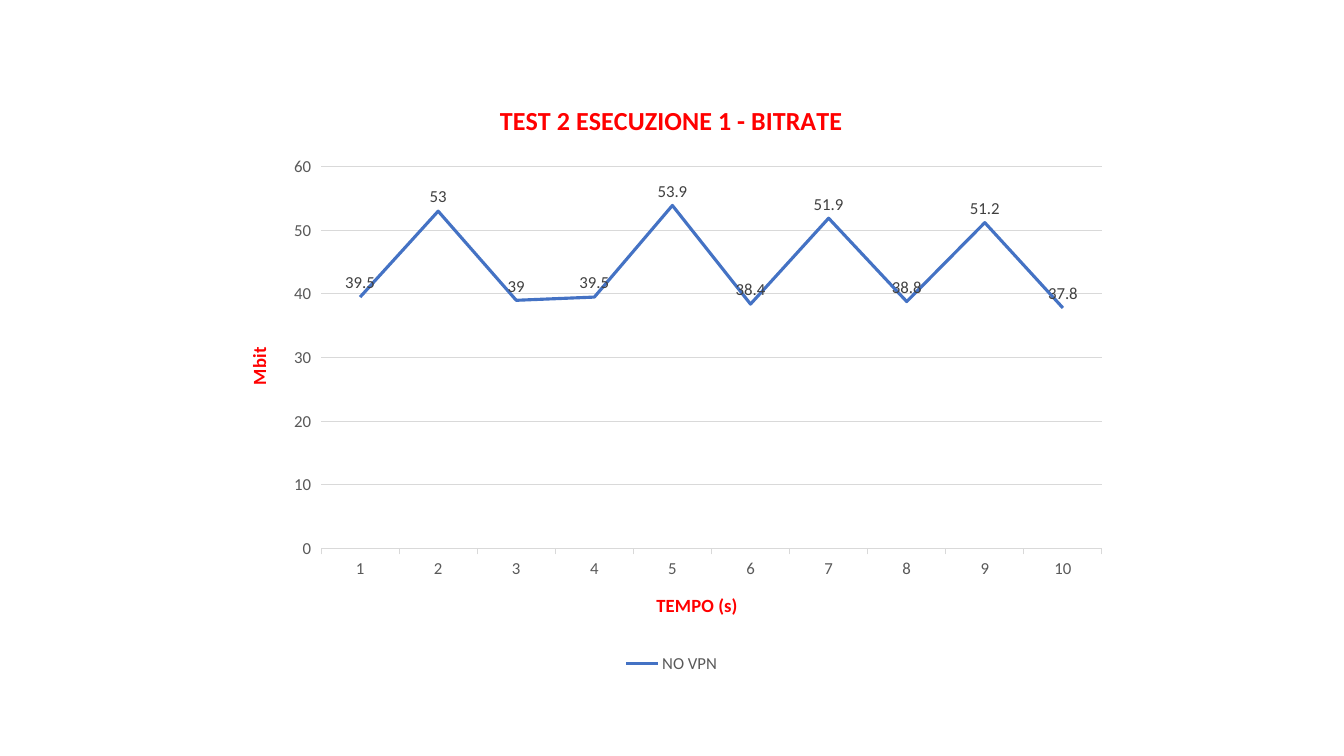
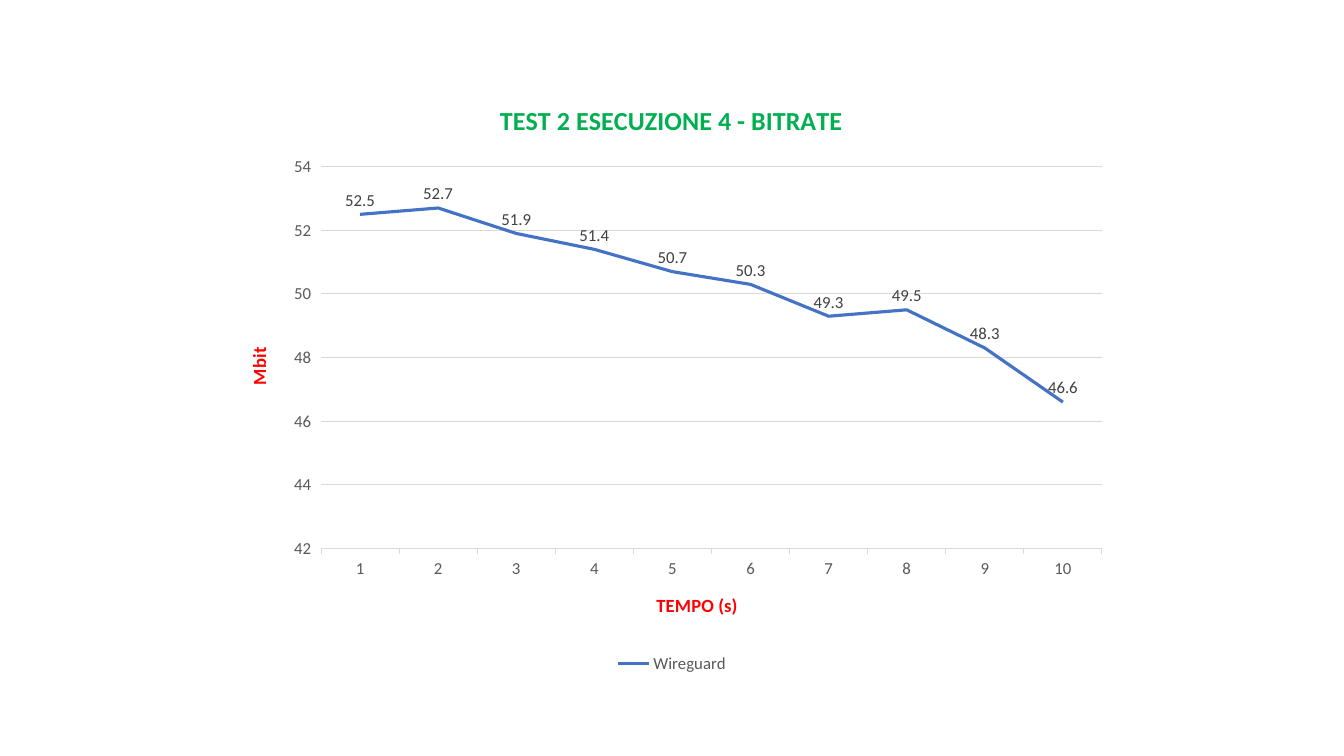
"""Build two slides, each with a line chart of bitrate over time."""
import dataclasses

import lxml.etree
import pptx
import pptx.chart.data
import pptx.dml.color
import pptx.enum.chart
import pptx.oxml.ns
import pptx.util

Cm = pptx.util.Cm
Pt = pptx.util.Pt

FONT = "Calibri"
COLOURS = {
    "red": "FF0000",
    "green": "00B050",
    "blue": "4472C4",
    "grid": "D9D9D9",
    "axis_text": "595959",
    "label_text": "404040",
}
SECONDS = [str(second) for second in range(1, 11)]


@dataclasses.dataclass(frozen=True)
class BitrateTest:
    title: str
    title_colour: str
    series_name: str
    bitrates: tuple[float, ...]
    minimum: int
    maximum: int
    step: int


TESTS = (
    BitrateTest("TEST 2 ESECUZIONE 1 - BITRATE", "red", "NO VPN",
                (39.5, 53, 39, 39.5, 53.9, 38.4, 51.9, 38.8, 51.2, 37.8), 0, 60, 10),
    BitrateTest("TEST 2 ESECUZIONE 4 - BITRATE", "green", "Wireguard",
                (52.5, 52.7, 51.9, 51.4, 50.7, 50.3, 49.3, 49.5, 48.3, 46.6), 42, 54, 2),
)


def rgb(name: str) -> pptx.dml.color.RGBColor:
    return pptx.dml.color.RGBColor.from_string(COLOURS[name])


def style_font(font, size: float, colour: str, bold: bool = False) -> None:
    font.name = FONT
    font.size = Pt(size)
    font.bold = bold
    font.color.rgb = rgb(colour)


def style_line(line_format, colour: str, width: float) -> None:
    line_format.color.rgb = rgb(colour)
    line_format.width = Pt(width)


def place(element, **percentages: float) -> None:
    """Give a chart part a manual layout in percent of the chart."""
    qn = pptx.oxml.ns.qn
    layout = element.find(qn("c:layout"))
    if layout is None:
        layout = lxml.etree.Element(qn("c:layout"))
        element.insert(0, layout)
    manual = lxml.etree.SubElement(layout, qn("c:manualLayout"))
    settings = {"xMode": "edge", "yMode": "edge"}
    if "w" in percentages:
        settings = {"layoutTarget": "inner", **settings}
    settings.update({key: str(value / 100) for key, value in percentages.items()})
    for tag, value in settings.items():
        lxml.etree.SubElement(manual, qn(f"c:{tag}")).set("val", value)


def write_title(title, text: str, size: float, colour: str, x: float, y: float) -> None:
    title.text_frame.text = text
    style_font(title.text_frame.paragraphs[0].runs[0].font, size, colour, bold=True)
    place(title._element, x=x, y=y)


def style_axes(chart, test: BitrateTest) -> None:
    time_axis, bitrate_axis = chart.category_axis, chart.value_axis
    for axis in (time_axis, bitrate_axis):
        style_font(axis.tick_labels.font, 12, "axis_text")
        axis.major_tick_mark = pptx.enum.chart.XL_TICK_MARK.OUTSIDE
        axis.minor_tick_mark = pptx.enum.chart.XL_TICK_MARK.NONE
    style_line(time_axis.format.line, "grid", 0.75)
    bitrate_axis.format.line.fill.background()
    bitrate_axis.has_major_gridlines = True
    style_line(bitrate_axis.major_gridlines.format.line, "grid", 0.75)
    bitrate_axis.minimum_scale = test.minimum
    bitrate_axis.maximum_scale = test.maximum
    bitrate_axis.major_unit = test.step
    write_title(time_axis.axis_title, "TEMPO (s)", 13.3, "red", 47.9, 85.3)
    write_title(bitrate_axis.axis_title, "Mbit", 13.3, "red", 2.1, 44.2)
    body = bitrate_axis.axis_title._element.find(".//" + pptx.oxml.ns.qn("a:bodyPr"))
    body.set("rot", "-5400000")
    body.set("vert", "horz")


def style_series(series) -> None:
    series.smooth = False
    series.marker.style = pptx.enum.chart.XL_MARKER_STYLE.NONE
    style_line(series.format.line, "blue", 2.25)
    labels = series.data_labels
    labels.show_value = True
    labels.position = pptx.enum.chart.XL_LABEL_POSITION.ABOVE
    style_font(labels.font, 12, "label_text")


def add_bitrate_slide(presentation, test: BitrateTest) -> None:
    slide = presentation.slides.add_slide(presentation.slide_layouts[6])
    data = pptx.chart.data.CategoryChartData()
    data.categories = SECONDS
    data.add_series(test.series_name, test.bitrates)
    chart = slide.shapes.add_chart(
        pptx.enum.chart.XL_CHART_TYPE.LINE,
        Cm(5.64), Cm(2.01), Cm(22.58), Cm(15.06), data).chart
    chart.font.name = FONT
    chart.font.size = Pt(10)
    chart.has_title = True
    write_title(chart.chart_title, test.title, 18.6, test.title_colour, 30.3, 2.9)
    chart.has_legend = True
    chart.legend.position = pptx.enum.chart.XL_LEGEND_POSITION.BOTTOM
    chart.legend.include_in_layout = False
    style_font(chart.legend.font, 12, "axis_text")
    chart.plots[0].vary_by_categories = False
    style_axes(chart, test)
    style_series(chart.plots[0].series[0])
    plot_area = chart._chartSpace.find(".//" + pptx.oxml.ns.qn("c:plotArea"))
    place(plot_area, x=10.85, y=14.54, w=87.17, h=63.9)


def main() -> None:
    presentation = pptx.Presentation()
    presentation.slide_width = Cm(33.87)
    presentation.slide_height = Cm(19.05)
    for test in TESTS:
        add_bitrate_slide(presentation, test)
    presentation.save("out.pptx")


if __name__ == "__main__":
    main()
